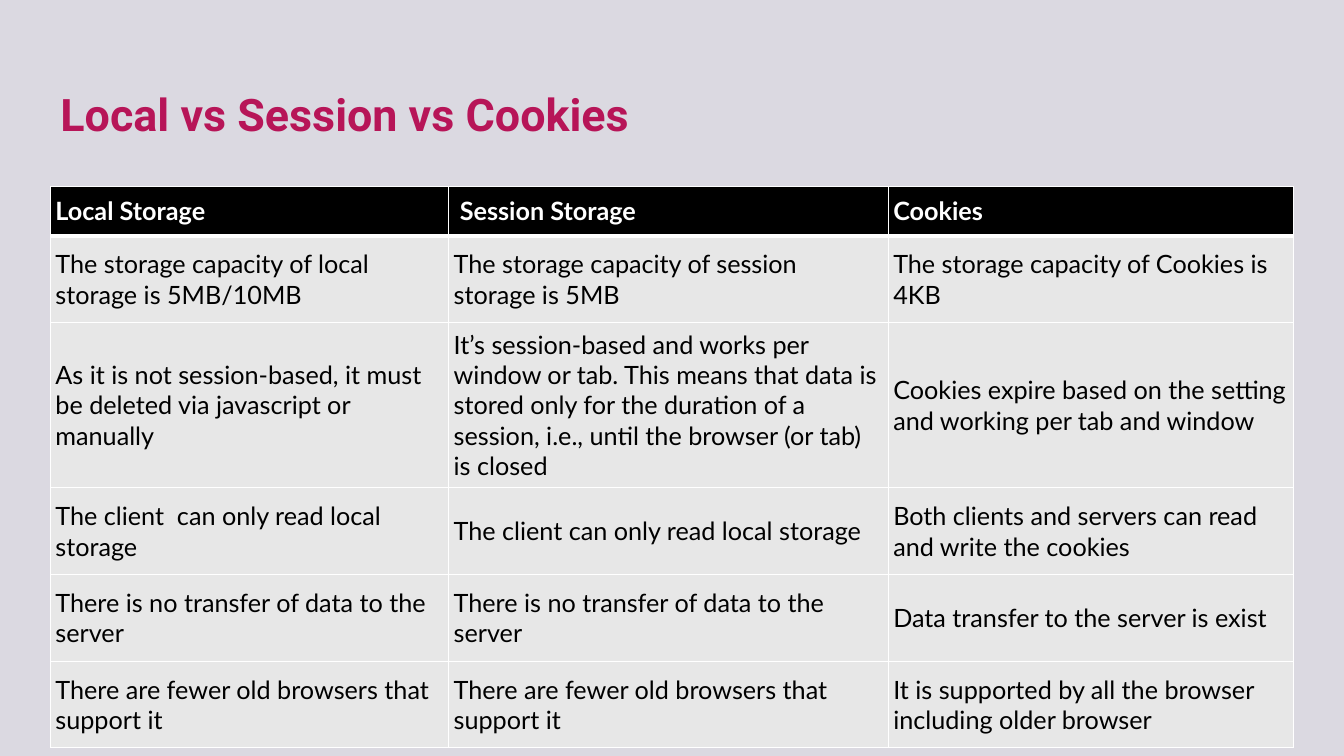
"""Build a slide with a table that compares local storage, session storage and cookies."""
from dataclasses import dataclass

from lxml import etree
from pptx import Presentation
from pptx.dml.color import RGBColor
from pptx.enum.text import MSO_ANCHOR, PP_ALIGN
from pptx.oxml.ns import qn
from pptx.slide import Slide
from pptx.table import _Cell
from pptx.text.text import TextFrame
from pptx.util import Inches, Pt

MIDDLE = MSO_ANCHOR.MIDDLE
LEFT = PP_ALIGN.LEFT
TITLE_ONLY = 5


@dataclass(frozen=True)
class Theme:
    page: str = "DBD9E1"
    title: str = "B71558"
    header_fill: str = "000000"
    header_text: str = "FFFFFF"
    body_fill: str = "E7E7E7"
    body_text: str = "000000"
    border: str = "FFFFFF"
    title_font: str = "Roboto"
    table_font: str = "Lato"
    title_size: int = 32
    table_size: int = 18


@dataclass(frozen=True)
class RowStyle:
    fill: str
    color: str
    bold: bool
    margin: float
    bottom_border: int


@dataclass(frozen=True)
class ComparisonRow:
    height: float
    local: str
    session: str
    cookies: str
    style: RowStyle


THEME = Theme()
HEADER = RowStyle(THEME.header_fill, THEME.header_text, True, 0.05, 3)
BODY = RowStyle(THEME.body_fill, THEME.body_text, False, 0.07, 1)
COLUMN_WIDTHS = (3.95, 4.36, 4.02)
ROWS = (
    ComparisonRow(0.49, "Local Storage", " Session Storage", "Cookies", HEADER),
    ComparisonRow(
        0.86,
        "The storage capacity of local storage is 5MB/10MB",
        "The storage capacity of session storage is 5MB",
        "The storage capacity of Cookies is 4KB",
        BODY,
    ),
    ComparisonRow(
        1.64,
        "As it is not session-based, it must be deleted via javascript or manually",
        "It’s session-based and works per window or tab. This means that data is stored "
        "only for the duration of a session, i.e., until the browser (or tab) is closed",
        "Cookies expire based on the setting and working per tab and window",
        BODY,
    ),
    ComparisonRow(
        0.86,
        "The client  can only read local storage",
        "The client can only read local storage",
        "Both clients and servers can read and write the cookies",
        BODY,
    ),
    ComparisonRow(
        0.86,
        "There is no transfer of data to the server",
        "There is no transfer of data to the server",
        "Data transfer to the server is exist",
        BODY,
    ),
    ComparisonRow(
        0.86,
        "There are fewer old browsers that support it",
        "There are fewer old browsers that support it",
        "It is supported by all the browser including older browser",
        BODY,
    ),
)


def write_text(frame: TextFrame, text: str, *, font: str, size: int, color: str, bold: bool) -> None:
    para = frame.paragraphs[0]
    para.alignment = LEFT
    span = para.add_run()
    span.text = text
    span.font.name = font
    span.font.size = Pt(size)
    span.font.bold = bold
    span.font.color.rgb = RGBColor.from_string(color)


def add_border(cell: _Cell, side: str, points: int) -> None:
    properties = cell._tc.get_or_add_tcPr()
    line = etree.SubElement(properties, qn(f"a:ln{side}"), w=str(Pt(points)))
    fill = etree.SubElement(line, qn("a:solidFill"))
    etree.SubElement(fill, qn("a:srgbClr"), val=THEME.border)


def format_cell(cell: _Cell, text: str, style: RowStyle, top_border: int) -> None:
    cell.vertical_anchor = MIDDLE
    cell.margin_left = cell.margin_right = Inches(0.05)
    cell.margin_top = cell.margin_bottom = Inches(style.margin)
    borders = {"L": 1, "R": 1, "T": top_border, "B": style.bottom_border}
    for side, points in borders.items():
        add_border(cell, side, points)
    cell.fill.solid()
    cell.fill.fore_color.rgb = RGBColor.from_string(style.fill)
    write_text(cell.text_frame, text, font=THEME.table_font, size=THEME.table_size,
               color=style.color, bold=style.bold)


def add_title(page: Slide, text: str) -> None:
    title = page.shapes.title
    title.left, title.top = Inches(0.5), Inches(0.4)
    title.width, title.height = Inches(12.33), Inches(1.45)
    title.text_frame.vertical_anchor = MIDDLE
    write_text(title.text_frame, text, font=THEME.title_font, size=THEME.title_size,
               color=THEME.title, bold=True)


def add_comparison(page: Slide) -> None:
    height = sum(row.height for row in ROWS)
    table = page.shapes.add_table(
        len(ROWS), len(COLUMN_WIDTHS), Inches(0.5), Inches(1.85),
        Inches(sum(COLUMN_WIDTHS)), Inches(height),
    ).table
    table.horz_banding = False
    for column, width in zip(table.columns, COLUMN_WIDTHS):
        column.width = Inches(width)
    top_border = 1
    for table_row, row in zip(table.rows, ROWS):
        table_row.height = Inches(row.height)
        for cell, text in zip(table_row.cells, (row.local, row.session, row.cookies)):
            format_cell(cell, text, row.style, top_border)
        top_border = row.style.bottom_border


def main() -> None:
    deck = Presentation()
    deck.slide_width, deck.slide_height = Inches(13.33), Inches(7.5)
    page = deck.slides.add_slide(deck.slide_layouts[TITLE_ONLY])
    page.background.fill.solid()
    page.background.fill.fore_color.rgb = RGBColor.from_string(THEME.page)
    add_title(page, "Local vs Session vs Cookies")
    add_comparison(page)
    deck.save("out.pptx")


if __name__ == "__main__":
    main()
